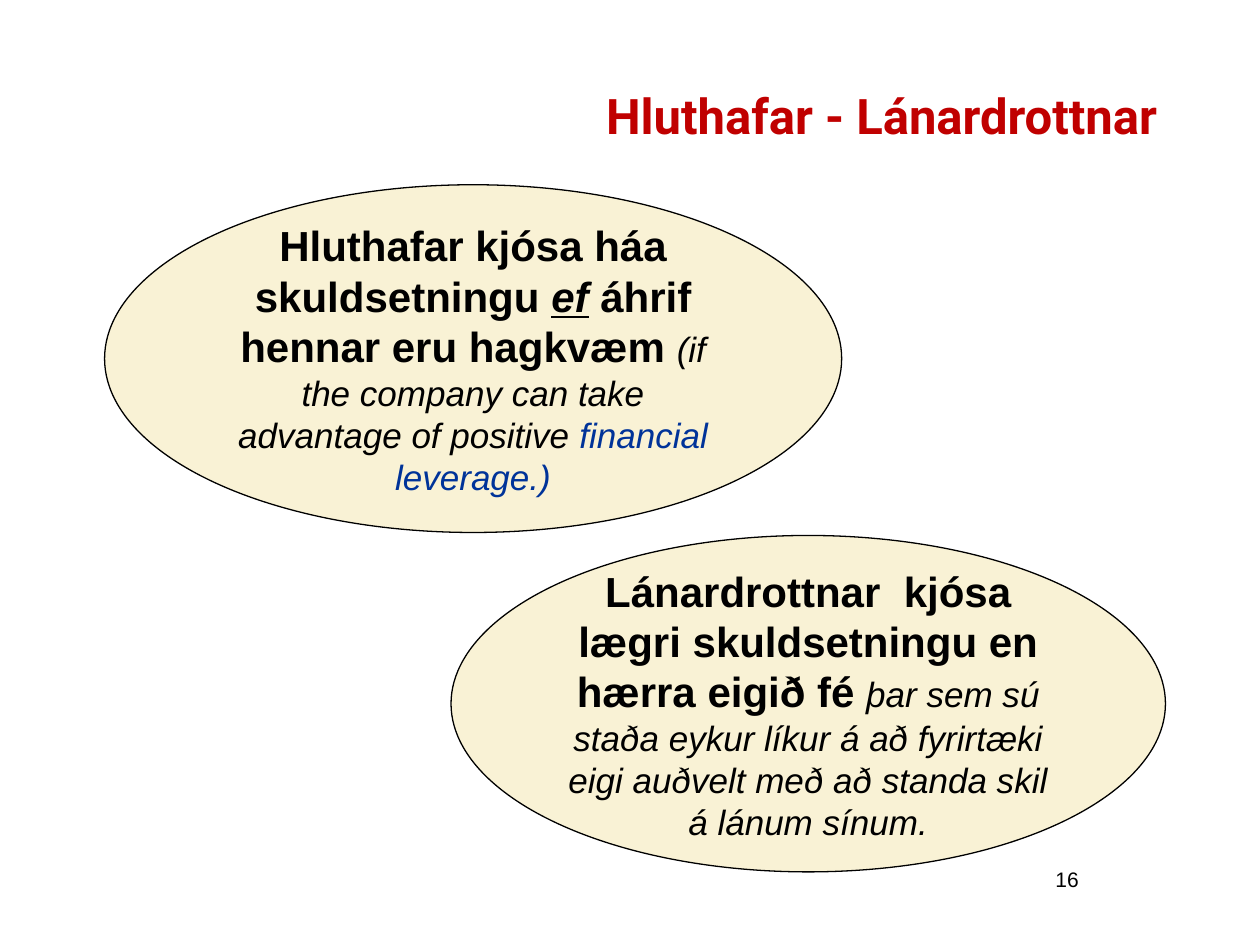
from pptx import Presentation
from pptx.dml.color import RGBColor
from pptx.enum.shapes import MSO_SHAPE
from pptx.enum.text import MSO_ANCHOR, PP_ALIGN
from pptx.util import Pt

BLACK = RGBColor(0x00, 0x00, 0x00)
CREAM = RGBColor(0xF9, 0xF2, 0xD5)
BLUE = RGBColor(0x00, 0x33, 0x99)
RED = RGBColor(0xC0, 0x00, 0x00)


def add_run(paragraph, text, size, color=BLACK, name="Arial", bold=False, italic=False, underline=False):
    run = paragraph.add_run()
    run.text = text
    font = run.font
    font.name = name
    font.size = Pt(size)
    font.color.rgb = color
    font.bold = bold
    font.italic = italic
    font.underline = underline


def add_label(slide, box, anchor, text, **style):
    shape = slide.shapes.add_textbox(*map(Pt, box))
    text_frame = shape.text_frame
    text_frame.word_wrap = True
    text_frame.vertical_anchor = anchor
    paragraph = text_frame.paragraphs[0]
    paragraph.alignment = PP_ALIGN.RIGHT
    add_run(paragraph, text, **style)


presentation = Presentation()
presentation.slide_width = Pt(720)
presentation.slide_height = Pt(540)
slide = presentation.slides.add_slide(presentation.slide_layouts[6])

add_label(slide, (473.76, 491.76, 149.76, 36), MSO_ANCHOR.TOP, "16", size=12)

strong = {"size": 24, "bold": True}
aside = {"size": 20, "italic": True}
opinions = [
    ((59.76, 105.6, 421.2, 198.72), [
        ("Hluthafar kjósa háa skuldsetningu ", strong),
        ("ef", {**strong, "italic": True, "underline": True}),
        (" áhrif hennar eru hagkvæm ", strong),
        ("(if the company can take advantage of positive ", aside),
        ("financial leverage.)", {**aside, "color": BLUE}),
    ]),
    ((257.76, 306, 408.24, 192.24), [
        ("Lánardrottnar  kjósa lægri skuldsetningu en hærra eigið fé ", strong),
        ("þar sem sú staða eykur líkur á að fyrirtæki eigi auðvelt með að standa skil á lánum sínum.", aside),
    ]),
]
for box, runs in opinions:
    ellipse = slide.shapes.add_shape(MSO_SHAPE.OVAL, *map(Pt, box))
    ellipse.shadow.inherit = False
    ellipse.fill.solid()
    ellipse.fill.fore_color.rgb = CREAM
    ellipse.line.color.rgb = BLACK
    ellipse.line.width = Pt(0.75)
    text_frame = ellipse.text_frame
    text_frame.word_wrap = True
    text_frame.vertical_anchor = MSO_ANCHOR.MIDDLE
    paragraph = text_frame.paragraphs[0]
    paragraph.alignment = PP_ALIGN.CENTER
    for text, style in runs:
        add_run(paragraph, text, **style)

add_label(slide, (54, 37.44, 614.16, 56.88), MSO_ANCHOR.MIDDLE, "Hluthafar - Lánardrottnar",
          size=28, color=RED, name="Roboto", bold=True)

presentation.save("out.pptx")
